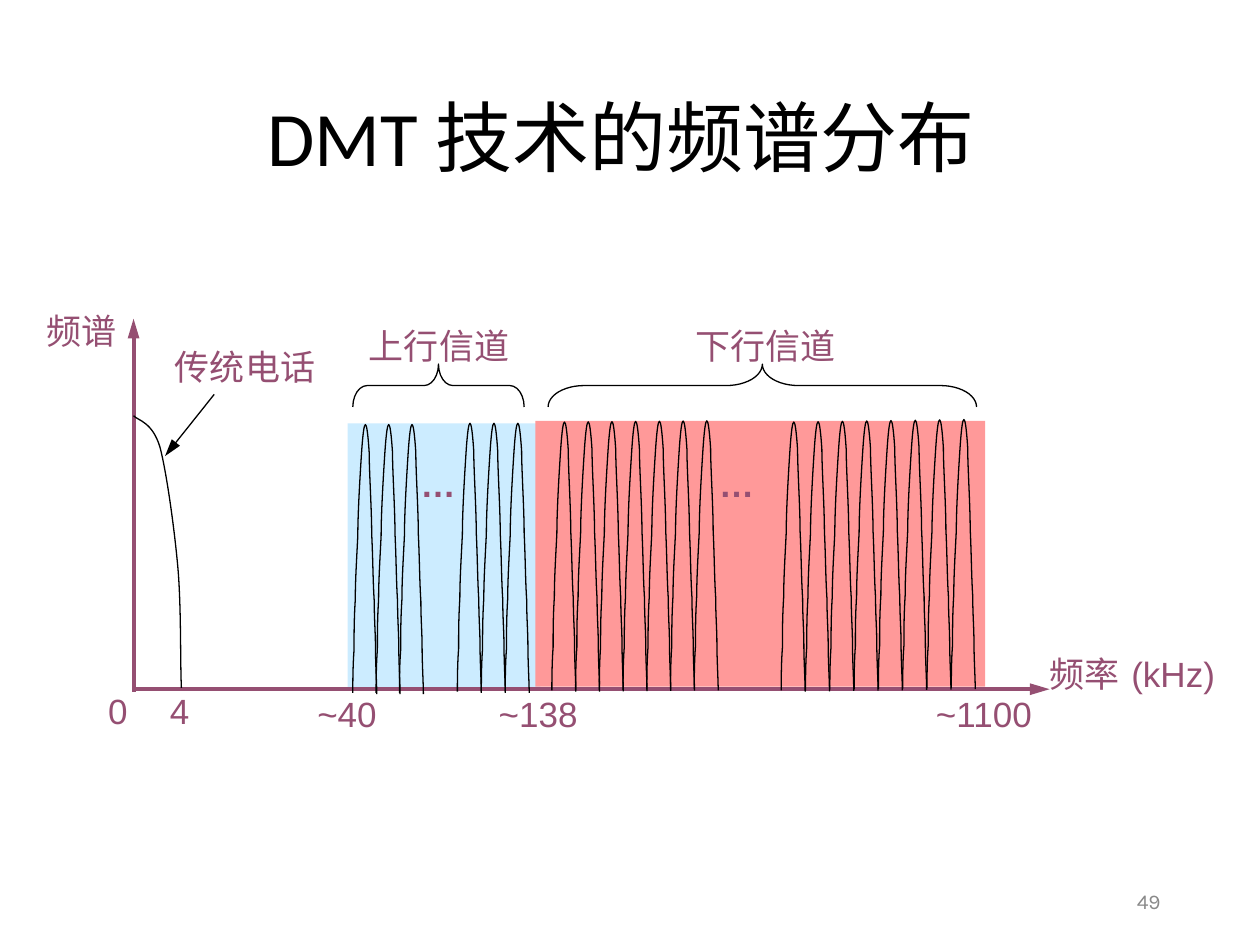
from pptx import Presentation
from pptx.dml.color import RGBColor
from pptx.enum.shapes import MSO_CONNECTOR, MSO_SHAPE
from pptx.enum.text import MSO_ANCHOR, MSO_AUTO_SIZE, PP_ALIGN
from pptx.oxml.ns import qn
from pptx.util import Inches, Pt
from lxml.etree import SubElement

BLACK = RGBColor(0x00, 0x00, 0x00)
PLUM = RGBColor(0x95, 0x4F, 0x72)
GRAY = RGBColor(0x89, 0x89, 0x89)
UP_BLUE = RGBColor(0xCC, 0xEC, 0xFF)
DOWN_RED = RGBColor(0xFF, 0x99, 0x99)

# Bezier points in inches from the top left corner of each curve
TONE = [(0, 2.13),
        (0, 2.07), (0, 1.91), (0.01, 1.79),
        (0.01, 1.67), (0.01, 1.54), (0.02, 1.39),
        (0.02, 1.24), (0.03, 1.08), (0.04, 0.88),
        (0.04, 0.69), (0.06, 0.37), (0.07, 0.22),
        (0.08, 0.07), (0.09, 0), (0.1, 0),
        (0.11, 0), (0.12, 0.07), (0.13, 0.22),
        (0.13, 0.37), (0.15, 0.68), (0.15, 0.87),
        (0.16, 1.07), (0.16, 1.25), (0.17, 1.4),
        (0.17, 1.55), (0.18, 1.65), (0.18, 1.77),
        (0.18, 1.89), (0.19, 2.06), (0.19, 2.14)]
PHONE = [(0, 0),
         (0.04, 0.04), (0.15, 0.05), (0.21, 0.25),
         (0.26, 0.44), (0.32, 0.86), (0.35, 1.18),
         (0.38, 1.5), (0.37, 1.96), (0.38, 2.16)]


def add_run(p, text, size, color, font="Arial", bold=False):
    r = p.add_run()
    r.text = text
    r.font.name, r.font.size, r.font.bold = font, Pt(size), bold
    r.font.color.rgb = color


def add_label(s, text, left, top, width, align=PP_ALIGN.LEFT, bold=False):
    box = s.shapes.add_textbox(Inches(left), Inches(top), Inches(width), Inches(0.43))
    tf = box.text_frame
    tf.word_wrap = False
    tf.auto_size = MSO_AUTO_SIZE.SHAPE_TO_FIT_TEXT
    p = tf.paragraphs[0]
    p.alignment = align
    add_run(p, text, 20, PLUM, bold=bold)


def add_arrow(s, x1, y1, x2, y2, color, weight):
    line = s.shapes.add_connector(MSO_CONNECTOR.STRAIGHT, Inches(x1), Inches(y1),
                                  Inches(x2), Inches(y2))
    line.line.color.rgb = color
    line.line.width = Pt(weight)
    SubElement(line.line._get_or_add_ln(), qn("a:tailEnd"),
               type="triangle", w="med", len="lg")
    SubElement(line._element.spPr, qn("a:effectLst"))


def style_outline(sp):
    sp.shadow.inherit = False
    sp.fill.background()
    sp.line.color.rgb = BLACK
    sp.line.width = Pt(0.75)


def add_curve(s, left, top, points):
    start, *rest = [(Inches(left + x), Inches(top + y)) for x, y in points]
    builder = s.shapes.build_freeform(*start)
    builder.add_line_segments(rest, close=False)
    sp = builder.convert_to_shape()
    style_outline(sp)
    # Join each three straight segments into one Bezier segment
    outline = sp._element.find(".//" + qn("a:path"))
    segments = outline.findall(qn("a:lnTo"))
    for i in range(0, len(segments), 3):
        bezier = SubElement(outline, qn("a:cubicBezTo"))
        for segment in segments[i:i + 3]:
            bezier.append(segment[0])
            outline.remove(segment)


def add_tones(s, count, first, last):
    """Row of equally spaced tones between two top left corners."""
    for i in range(count):
        left, top = (a + (b - a) * i / (count - 1) for a, b in zip(first, last))
        add_curve(s, left, top, TONE)


def add_band(s, left, top, width, height, color):
    sp = s.shapes.add_shape(MSO_SHAPE.RECTANGLE, Inches(left), Inches(top),
                            Inches(width), Inches(height))
    sp.shadow.inherit = False
    sp.fill.solid()
    sp.fill.fore_color.rgb = color
    sp.line.fill.background()


def add_brace(s, left, top, width, height, curl):
    # A left brace turned a quarter, so its box is laid out upright first
    sp = s.shapes.add_shape(MSO_SHAPE.LEFT_BRACE,
                            Inches(left + (width - height) / 2),
                            Inches(top + (height - width) / 2),
                            Inches(height), Inches(width))
    sp.rotation = 90
    sp.adjustments[0] = curl
    style_outline(sp)


def add_title(s, left, top, width, height):
    title = s.shapes.title
    title.left, title.top = Inches(left), Inches(top)
    title.width, title.height = Inches(width), Inches(height)
    tf = title.text_frame
    tf.vertical_anchor = MSO_ANCHOR.MIDDLE
    p = tf.paragraphs[0]
    p.alignment = PP_ALIGN.CENTER
    p.line_spacing = 0.9
    add_run(p, "DMT 技术的频谱分布 ", 44, BLACK, "Calibri")


def add_axes(s, left, top, width, height):
    bottom = top + height
    add_arrow(s, left, bottom + 0.02, left, top, PLUM, 2.25)
    add_arrow(s, left, bottom, left + width, bottom, PLUM, 2.25)
    add_label(s, "频谱", left - 0.79, top - 0.12, 0.76)
    add_label(s, "频率", left + width - 0.1, bottom - 0.34, 0.76)
    add_label(s, "(kHz)", left + width + 0.55, bottom - 0.34, 0.95)
    # Frequency marks
    for text, x, y, w in [("0", 0.76, 5.42, 0.36), ("4", 1.25, 5.42, 0.36),
                          ("~40", 2.42, 5.45, 0.67), ("~138", 3.86, 5.45, 0.83),
                          ("~1100", 7.33, 5.45, 0.98)]:
        add_label(s, text, x, y, w)


def add_phone(s, left, top):
    add_curve(s, left, top, PHONE)
    add_label(s, "传统电话", left + 0.23, top - 0.61, 1.31)
    add_arrow(s, left + 0.64, top - 0.17, left + 0.25, top + 0.32, BLACK, 0.75)


def add_channel(s, name, name_left, brace, dots_left, tone_rows):
    add_label(s, name, name_left, 2.53, 1.31, PP_ALIGN.CENTER)
    add_brace(s, *brace)
    add_label(s, "…", dots_left, 3.62, 0.48, bold=True)
    for row in tone_rows:
        add_tones(s, *row)


def add_slide_number(s, left, top, width, height):
    box = s.shapes.add_textbox(Inches(left), Inches(top), Inches(width), Inches(height))
    tf = box.text_frame
    tf.word_wrap = True
    tf.vertical_anchor = MSO_ANCHOR.MIDDLE
    p = tf.paragraphs[0]
    p.alignment = PP_ALIGN.RIGHT
    add_run(p, "49", 12, GRAY, "Karla")


def main():
    prs = Presentation()
    prs.slide_width, prs.slide_height = Inches(10), Inches(7.5)
    s = prs.slides.add_slide(prs.slide_layouts[5])
    add_title(s, 0.69, 0.4, 8.62, 1.45)
    # Bands lie behind the axes and curves
    add_band(s, 2.76, 3.36, 1.53, 2.11, UP_BLUE)
    add_band(s, 4.25, 3.34, 3.57, 2.11, DOWN_RED)
    add_axes(s, 1.06, 2.53, 7.27, 2.94)
    add_phone(s, 1.06, 3.3)
    add_channel(s, "上行信道", 2.83, (2.8, 2.89, 1.36, 0.34, 0.336), 3.24,
                [(3, (2.8, 3.37), (3.17, 3.37)), (3, (3.63, 3.36), (4.01, 3.36))])
    add_channel(s, "下行信道", 5.42, (4.35, 2.89, 3.4, 0.34, 0.841), 5.61,
                [(7, (4.38, 3.35), (5.51, 3.34)), (8, (6.2, 3.35), (7.55, 3.33))])
    add_slide_number(s, 7.06, 6.95, 2.25, 0.4)
    prs.save("out.pptx")


if __name__ == "__main__":
    main()
